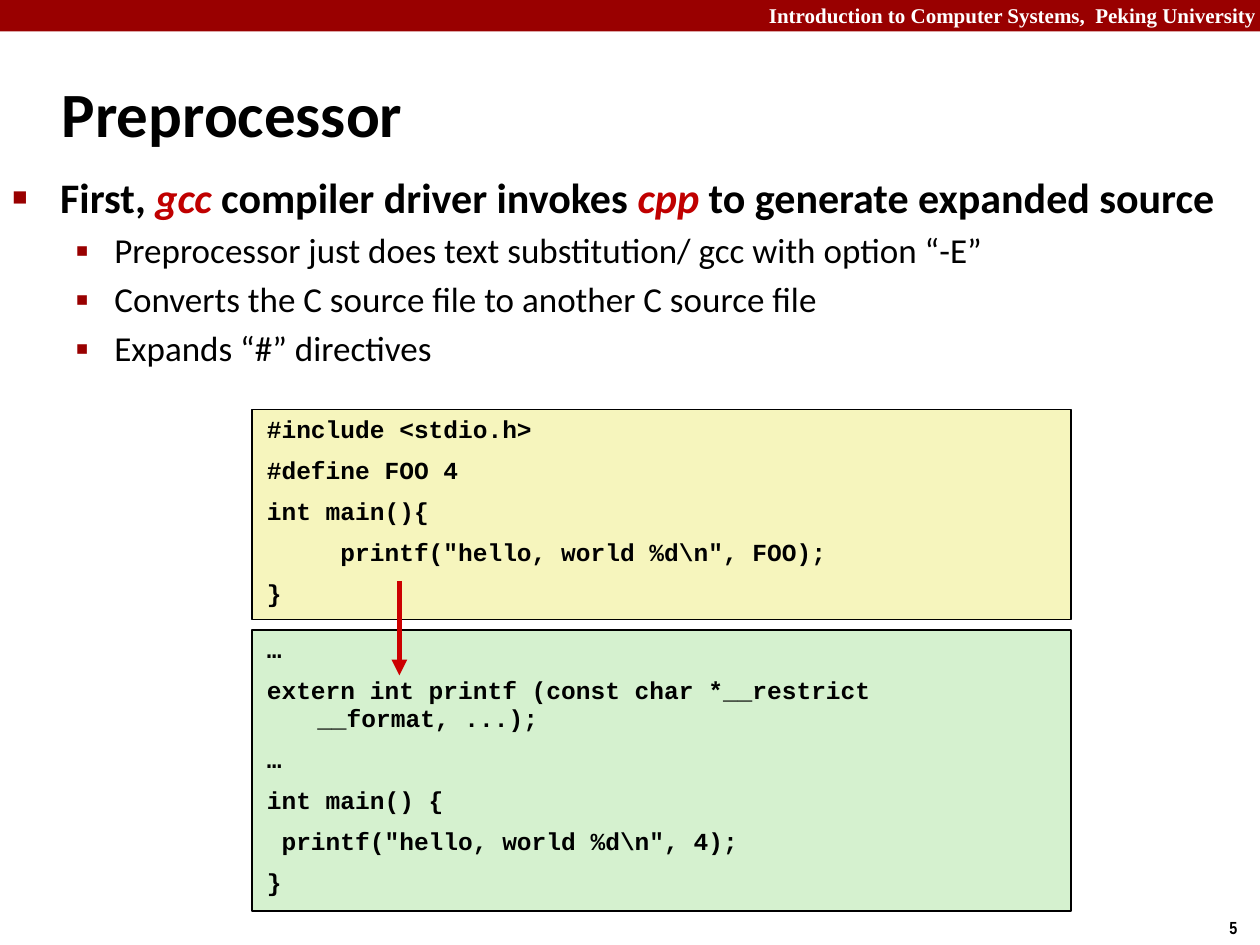
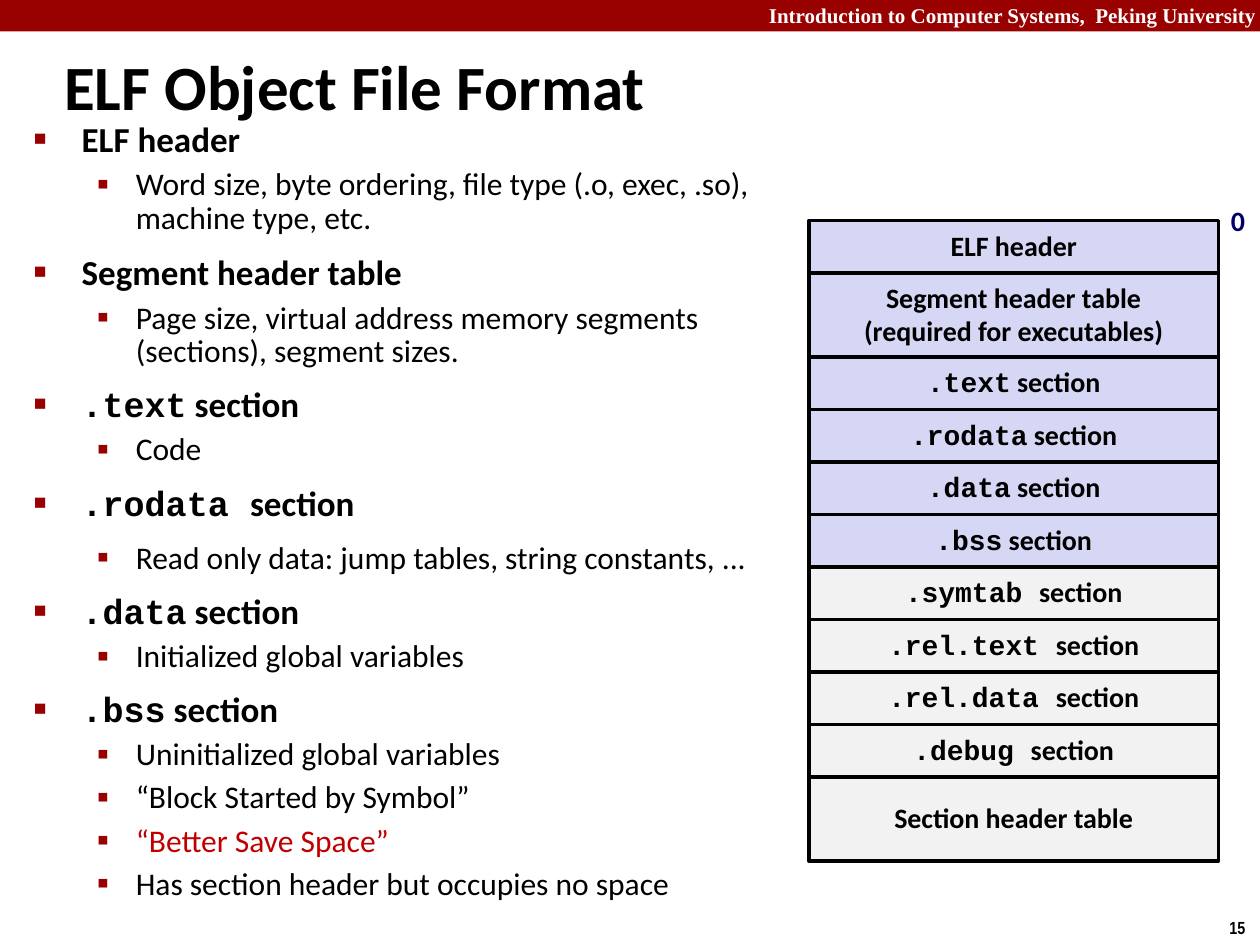
from lxml import etree
from pptx import Presentation
from pptx.dml.color import RGBColor
from pptx.enum.shapes import MSO_CONNECTOR, MSO_SHAPE
from pptx.enum.text import MSO_ANCHOR, MSO_AUTO_SIZE, PP_ALIGN
from pptx.oxml.ns import qn
from pptx.util import Inches, Pt

BLACK = RGBColor(0x00, 0x00, 0x00)
WHITE = RGBColor(0xFF, 0xFF, 0xFF)
DARK_RED = RGBColor(0x99, 0x00, 0x00)
ACCENT_RED = RGBColor(0xC0, 0x00, 0x00)
ARROW_RED = RGBColor(0xCC, 0x00, 0x00)
NAVY = RGBColor(0x00, 0x00, 0x66)
SOURCE_YELLOW = RGBColor(0xF6, 0xF5, 0xBD)
EXPANDED_GREEN = RGBColor(0xD5, 0xF1, 0xCF)
LOADED_BLUE = RGBColor(0xD6, 0xD6, 0xF5)
UNLOADED_GRAY = RGBColor(0xF2, 0xF2, 0xF2)

BODY_FONT = "Calibri"
CODE_FONT = "Courier New"

# Bullet styles: level, size, bold, line spacing, space before
TOPIC = (0, 24, True, 1.0, 5)
DETAIL = (1, 20, False, 1.0, 4)
HEADING = (0, 20, True, 0.83, 12.5)
SECTION = (0, 20, True, 0.8, 12.5)
NOTE = (1, 18, False, 0.88, 5.6)
SPACED_NOTE = (1, 18, False, 0.8, 12.5)

# Bullet marks by level: character, size in percent, left margin, hanging indent
MARKS = [("■", 60, 0.38, 0.38), ("▪", 110, 0.81, 0.31)]

# Each page: title, number, title place, body place, bullets
PAGES = [
    ("Preprocessor", 5, (0.39, 0.48, 8.3, 0.83), (0, 1.31, 10, 5.48), [
        (TOPIC, [("First, ", ""), ("gcc", "term"), (" compiler driver invokes ", ""),
                 ("cpp", "term"), (" to generate expanded source", "")]),
        (DETAIL, [("Preprocessor just does text substitution/ gcc with option “-E”", "")]),
        (DETAIL, [("Converts the C source file to another C source file", "")]),
        (DETAIL, [("Expands “#” directives", "")]),
    ]),
    ("ELF Object File Format", 15, (0.41, 0.25, 9.53, 0.86), (0.17, 0.94, 6.1, 5.89), [
        (HEADING, [("ELF header", "")]),
        (NOTE, [("Word size, byte ordering, file type (.o, exec, .so), machine type, etc.", "")]),
        (HEADING, [("Segment header table", "")]),
        (NOTE, [("Page size, virtual address memory segments (sections), segment sizes.", "")]),
        (SECTION, [(".text", "code"), (" section", "")]),
        (NOTE, [("Code", "")]),
        (SECTION, [(".rodata ", "code"), ("section", "")]),
        (SPACED_NOTE, [("Read only data: jump tables, string constants, ...", "")]),
        (SECTION, [(".data", "code"), (" section", "")]),
        (NOTE, [("Initialized global variables", "")]),
        (SECTION, [(".bss", "code"), (" section", "")]),
        (NOTE, [("Uninitialized global variables", "")]),
        (NOTE, [("“Block Started by Symbol”", "")]),
        (NOTE, [("“Better Save Space”", "red")]),
        (NOTE, [("Has section header but occupies no space", "")]),
    ]),
]


def write_spans(para, pieces, size, bold=True, color=BLACK, font=BODY_FONT):
    """Add (text, style) pieces to a paragraph; style is "", code, term or red."""
    for text, style in pieces:
        span = para.add_run()
        span.text = text
        span.font.name = CODE_FONT if style == "code" else font
        span.font.size = Pt(size)
        span.font.bold = bold
        span.font.color.rgb = ACCENT_RED if style in ("term", "red") else color
        if style == "term":
            span.font.italic = True


def add_panel(page, place, fill, line_width=None):
    """Add a flat rectangle, outlined in black when a line width is given."""
    panel = page.shapes.add_shape(MSO_SHAPE.RECTANGLE, *[Inches(v) for v in place])
    panel.shadow.inherit = False
    panel.fill.solid()
    panel.fill.fore_color.rgb = fill
    if line_width:
        panel.line.color.rgb = BLACK
        panel.line.width = Pt(line_width)
    else:
        panel.line.fill.background()
    return panel


deck = Presentation()
deck.slide_width = Inches(10)
deck.slide_height = Inches(7.5)
title_only = deck.slide_layouts[5]

for title_text, number, title_place, body_place, bullets in PAGES:
    page = deck.slides.add_slide(title_only)

    # Top band, course name and page number
    add_panel(page, (0, 0, 10, 0.25), DARK_RED)
    box = page.shapes.add_textbox(Inches(6), Inches(-0.03), Inches(4.07), Inches(0.3))
    box.text_frame.word_wrap = True
    para = box.text_frame.paragraphs[0]
    para.alignment = PP_ALIGN.RIGHT
    write_spans(para, [("Introduction to Computer Systems,  Peking University", "")], 12,
                color=WHITE, font="Times New Roman")
    box = page.shapes.add_textbox(Inches(9.66), Inches(7.23), Inches(0.34), Inches(0.27))
    box.text_frame.word_wrap = False
    write_spans(box.text_frame.paragraphs[0], [(str(number), "")], 10, font="Arial Narrow")

    # Title
    title = page.shapes.title
    title.left, title.top, title.width, title.height = [Inches(v) for v in title_place]
    title.text_frame.auto_size = MSO_AUTO_SIZE.NONE
    title.text_frame.vertical_anchor = MSO_ANCHOR.MIDDLE
    para = title.text_frame.paragraphs[0]
    para.alignment = PP_ALIGN.LEFT
    write_spans(para, [(title_text, "")], 36)

    # Bulleted body
    body = page.shapes.add_textbox(*[Inches(v) for v in body_place]).text_frame
    body.word_wrap = True
    for index, ((level, size, bold, spacing, before), pieces) in enumerate(bullets):
        para = body.add_paragraph() if index else body.paragraphs[0]
        mark, percent, margin, hanging = MARKS[level]
        props = para._p.get_or_add_pPr()
        props.set("marL", str(Inches(margin)))
        props.set("indent", str(-Inches(hanging)))
        mark_color = etree.SubElement(props, qn("a:buClr"))
        etree.SubElement(mark_color, qn("a:srgbClr"), val=str(DARK_RED))
        etree.SubElement(props, qn("a:buSzPct"), val=str(percent * 1000))
        etree.SubElement(props, qn("a:buFont"), typeface="Arial")
        etree.SubElement(props, qn("a:buChar"), char=mark)
        para.level = level
        para.line_spacing = spacing
        if index:
            para.space_before = Pt(before)
        write_spans(para, pieces, size, bold)

preprocessor_page, elf_page = deck.slides

# Code before and after preprocessing
LISTINGS = [
    (3.25, 1.67, SOURCE_YELLOW, [
        "#include <stdio.h>",
        "#define FOO 4",
        "int main(){",
        '     printf("hello, world %d\\n", FOO);',
        "}",
    ]),
    (5, 2.23, EXPANDED_GREEN, [
        "…",
        "extern int printf (const char *__restrict __format, ...);",
        "…",
        "int main() {",
        ' printf("hello, world %d\\n", 4);',
        "}",
    ]),
]
for top, height, fill, lines in LISTINGS:
    panel = add_panel(preprocessor_page, (2, top, 6.5, height), fill, 0.75)
    frame = panel.text_frame
    frame.word_wrap = True
    frame.vertical_anchor = MSO_ANCHOR.TOP
    for index, line in enumerate(lines):
        para = frame.add_paragraph() if index else frame.paragraphs[0]
        props = para._p.get_or_add_pPr()
        props.set("marL", str(Inches(0.42)))
        props.set("indent", str(-Inches(0.4)))
        para.alignment = PP_ALIGN.LEFT
        para.line_spacing = 0.95
        if index:
            para.space_before = Pt(7.5)
        write_spans(para, [(line, "code")], 14)

# Arrow from the macro use to its expansion
arrow = preprocessor_page.shapes.add_connector(
    MSO_CONNECTOR.STRAIGHT, Inches(3.17), Inches(4.61), Inches(3.17), Inches(5.36))
arrow.line.color.rgb = ARROW_RED
arrow.line.width = Pt(3)
etree.SubElement(arrow.line._get_or_add_ln(), qn("a:tailEnd"), type="triangle")
etree.SubElement(arrow._element.spPr, qn("a:effectLst"))

# ELF file layout, stacked from offset 0; heights in twelfths of an inch
ELF_ROWS = [
    (5, LOADED_BLUE, [[("ELF header", "")]]),
    (8, LOADED_BLUE, [[("Segment header table", "")], [("(required for executables)", "")]]),
]
for name in (".text", ".rodata", ".data", ".bss"):
    ELF_ROWS.append((5, LOADED_BLUE, [[(name, "code"), (" section", "")]]))
for name in (".symtab ", ".rel.text ", ".rel.data ", ".debug "):
    ELF_ROWS.append((5, UNLOADED_GRAY, [[(name, "code"), ("section", "")]]))
ELF_ROWS.append((8, UNLOADED_GRAY, [[("Section header table", "")]]))

top = 1.75
for twelfths, fill, lines in ELF_ROWS:
    row = add_panel(elf_page, (6.42, top, 3.25, twelfths / 12), fill, 2)
    top += twelfths / 12
    frame = row.text_frame
    frame.word_wrap = False
    frame.vertical_anchor = MSO_ANCHOR.MIDDLE
    for index, pieces in enumerate(lines):
        para = frame.add_paragraph() if index else frame.paragraphs[0]
        para.alignment = PP_ALIGN.CENTER
        para.line_spacing = 0.94 if len(pieces) > 1 else 0.98
        write_spans(para, pieces, 16)

# Offset label
box = elf_page.shapes.add_textbox(Inches(9.67), Inches(1.58), Inches(0.31), Inches(0.37))
box.text_frame.word_wrap = False
para = box.text_frame.paragraphs[0]
para.line_spacing = 0.98
write_spans(para, [("0", "")], 16, color=NAVY)

deck.save("out.pptx")
